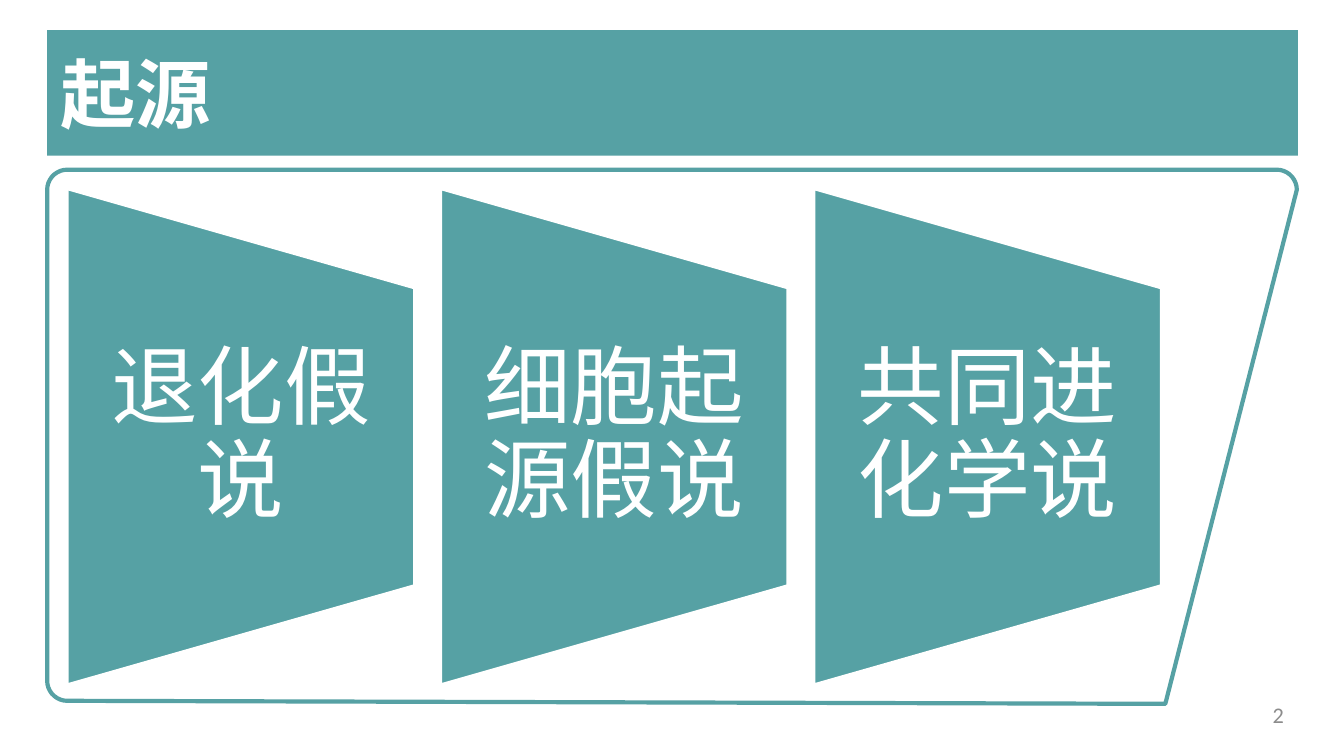
"""Build the slide on the three hypotheses of origin."""
import math
from dataclasses import dataclass

import pptx
import pptx.dml.color
import pptx.enum.shapes
import pptx.enum.text
import pptx.oxml
import pptx.oxml.ns
import pptx.util

HEADING = "起源"
HYPOTHESES = ["退化假说", "细胞起源假说", "共同进化学说"]
PAGE_NUMBER = "2"

PX = 9144
SLIDE = (1339, 748)
HEADING_BOX = (47, 30, 1246, 125)
PAGE_BOX = (980, 692, 312, 40)
FRAME = {"left": 47, "top": 169, "right": 1292, "bottom": 698, "radius": 20}
FRAME_TIP = (1161, 701)
PANEL_LEFT, PANEL_PITCH, PANEL_WIDTH = 67, 372, 346
PANEL_MIDDLE, PANEL_HEIGHT, LABEL_HEIGHT = 435, 494, 296


@dataclass(frozen=True)
class Theme:
    teal: str = "56A1A4"
    white: str = "FFFFFF"
    grey: str = "8C8C8C"
    heading_font: str = "Noto Sans CJK SC"
    body_font: str = "Calibri"
    heading_size: int = 54
    label_size: int = 62
    page_size: int = 16
    frame_line: int = 3
    panel_line: int = 2


THEME = Theme()
ALIGN = pptx.enum.text.PP_ALIGN


def emu(*lengths):
    return [round(length * PX) for length in lengths]


def rgb(value):
    return pptx.dml.color.RGBColor.from_string(value)


def write(shape, text, font, size, color, align, inset, bold=False):
    frame = shape.text_frame
    frame.text = text
    frame.word_wrap = True
    frame.auto_size = pptx.enum.text.MSO_AUTO_SIZE.NONE
    frame.vertical_anchor = pptx.enum.text.MSO_ANCHOR.MIDDLE
    frame.margin_left = frame.margin_right = inset[0] * PX
    frame.margin_top = frame.margin_bottom = inset[1] * PX
    paragraph = frame.paragraphs[0]
    paragraph.alignment = align
    run = paragraph.runs[0]
    run.font.name = font
    run.font.size = pptx.util.Pt(size)
    run.font.bold = bold
    run.font.color.rgb = rgb(color)
    return paragraph


def corner(x, y, start):
    radius = FRAME["radius"]
    angles = [math.radians(start + step * 10) for step in range(10)]
    return [emu(x + radius * math.cos(a), y + radius * math.sin(a)) for a in angles]


def add_frame(shapes):
    radius = FRAME["radius"]
    left, right = FRAME["left"] + radius, FRAME["right"] - radius
    top, bottom = FRAME["top"] + radius, FRAME["bottom"] - radius
    outline = (corner(left, top, 180) + corner(right, top, 270)
               + [emu(*FRAME_TIP)] + corner(left, bottom, 90))
    builder = shapes.build_freeform(*outline[0], scale=1.0)
    builder.add_line_segments(outline[1:], close=True)
    border = builder.convert_to_shape()
    border.shadow.inherit = False
    border.fill.background()
    border.line.color.rgb = rgb(THEME.teal)
    border.line.width = pptx.util.Pt(THEME.frame_line)


def add_heading(title):
    title.left, title.top, title.width, title.height = emu(*HEADING_BOX)
    title.fill.solid()
    title.fill.fore_color.rgb = rgb(THEME.teal)
    paragraph = write(title, HEADING, THEME.heading_font, THEME.heading_size,
                      THEME.white, ALIGN.LEFT, (13, 7), bold=True)
    east_asian = pptx.oxml.parse_xml(
        f'<a:ea {pptx.oxml.ns.nsdecls("a")} typeface="{THEME.heading_font}"/>')
    paragraph.runs[0].font._element.append(east_asian)


def add_panel(shapes, index, hypothesis):
    left = PANEL_LEFT + index * PANEL_PITCH
    center = left + PANEL_WIDTH / 2
    panel = shapes.add_shape(
        pptx.enum.shapes.MSO_SHAPE.FLOWCHART_MANUAL_OPERATION,
        *emu(center - PANEL_HEIGHT / 2, PANEL_MIDDLE - PANEL_WIDTH / 2,
             PANEL_HEIGHT, PANEL_WIDTH))
    panel.rotation = 270
    panel.shadow.inherit = False
    panel.fill.solid()
    panel.fill.fore_color.rgb = rgb(THEME.teal)
    panel.line.color.rgb = rgb(THEME.white)
    panel.line.width = pptx.util.Pt(THEME.panel_line)
    label = shapes.add_textbox(*emu(left, PANEL_MIDDLE - LABEL_HEIGHT / 2,
                                    PANEL_WIDTH, LABEL_HEIGHT))
    paragraph = write(label, hypothesis, THEME.body_font, THEME.label_size,
                      THEME.white, ALIGN.CENTER, (42, 0))
    paragraph.line_spacing = 0.9


def main():
    deck = pptx.Presentation()
    deck.slide_width, deck.slide_height = emu(*SLIDE)
    slide = deck.slides.add_slide(deck.slide_layouts[5])
    add_frame(slide.shapes)
    add_heading(slide.shapes.title)
    for index, hypothesis in enumerate(HYPOTHESES):
        add_panel(slide.shapes, index, hypothesis)
    page = slide.shapes.add_textbox(*emu(*PAGE_BOX))
    write(page, PAGE_NUMBER, THEME.body_font, THEME.page_size, THEME.grey,
          ALIGN.RIGHT, (13, 7))
    deck.save("out.pptx")


if __name__ == "__main__":
    main()
